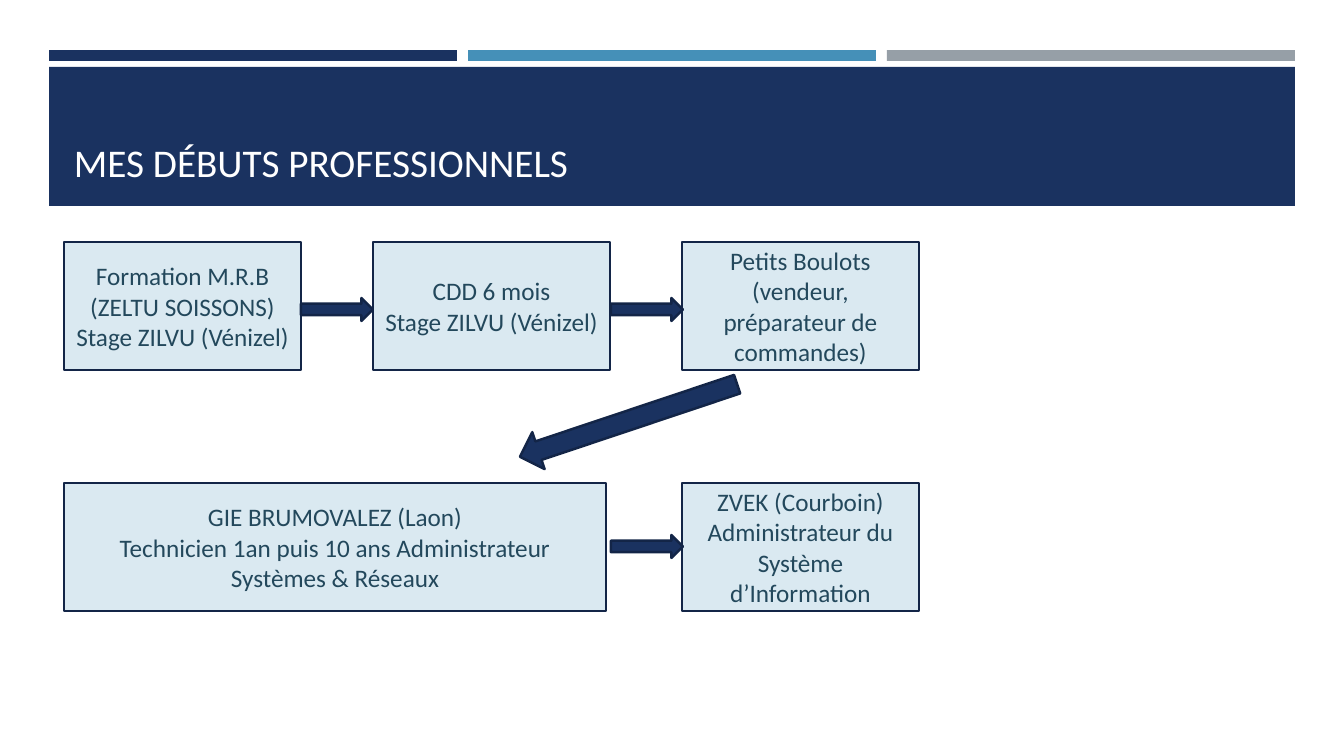
import pptx
import pptx.util
import pptx.dml.color
import pptx.enum.shapes
import pptx.enum.text
from dataclasses import dataclass


@dataclass(frozen=True)
class Theme:
    font: str = "Calibri"
    title_size: int = 28
    body_size: int = 18
    outline_width: float = 1.75
    navy: str = "1A3260"
    blue: str = "4590B8"
    grey: str = "969FA7"
    pale: str = "DAE9F1"
    outline: str = "132547"
    ink: str = "23485C"
    white: str = "FFFFFF"


THEME = Theme()
TITLE = "MES DÉBUTS PROFESSIONNELS"
STRIPES = [THEME.navy, THEME.blue, THEME.grey]
STEPS = [
    {"row": 0, "column": 0, "width": 237,
     "lines": ["Formation M.R.B (ZELTU SOISSONS)", "Stage ZILVU (Vénizel)"]},
    {"row": 0, "column": 1, "width": 237,
     "lines": ["CDD 6 mois", "Stage ZILVU (Vénizel)"]},
    {"row": 0, "column": 2, "width": 237,
     "lines": ["Petits Boulots (vendeur, préparateur de commandes)"]},
    {"row": 1, "column": 2, "width": 237,
     "lines": ["ZVEK (Courboin)", "Administrateur du Système d’Information"]},
    {"row": 1, "column": 0, "width": 542,
     "lines": ["GIE BRUMOVALEZ (Laon)\nTechnicien 1an puis 10 ans Administrateur Systèmes & Réseaux"]},
]
ARROWS = [
    (301, 298, 72, 23, 0),
    (611, 298, 72, 23, 0),
    (611, 535, 72, 23, 0),
    (514, 401, 229, 39, 161.5),
]

PX = 914400 / 100.8
PAGE_WIDTH, PAGE_HEIGHT = 1344, 756
BAND_LEFT, BAND_TOP, BAND_WIDTH, BAND_HEIGHT = 49, 67, 1246, 139
STRIPE_TOP, STRIPE_WIDTH, STRIPE_HEIGHT = 50, 408, 11
STRIPE_PITCH = (BAND_WIDTH - STRIPE_WIDTH) // (len(STRIPES) - 1)
STEP_LEFT, STEP_TOP, STEP_HEIGHT = 64, 242, 128
COLUMN_PITCH, ROW_PITCH = 309, 241

SHAPES = pptx.enum.shapes.MSO_SHAPE
ALIGN = pptx.enum.text.PP_ALIGN
ANCHOR = pptx.enum.text.MSO_ANCHOR


def emu(*lengths):
    return [pptx.util.Emu(round(length * PX)) for length in lengths]


def rgb(value):
    return pptx.dml.color.RGBColor.from_string(value)


def add_block(page, kind, place, fill, outline=None, rotation=0):
    block = page.shapes.add_shape(kind, *emu(*place))
    block.shadow.inherit = False
    block.rotation = rotation
    block.fill.solid()
    block.fill.fore_color.rgb = rgb(fill)
    if outline:
        block.line.color.rgb = rgb(outline)
        block.line.width = pptx.util.Pt(THEME.outline_width)
    else:
        block.line.fill.background()
    return block


def write(box, lines, *, size, color, align, anchor):
    frame = box.text_frame
    frame.word_wrap = True
    frame.vertical_anchor = anchor
    for index, line in enumerate(lines):
        para = frame.add_paragraph() if index else frame.paragraphs[0]
        para.text = line
        para.alignment = align
        for span in para.runs:
            span.font.name = THEME.font
            span.font.size = pptx.util.Pt(size)
            span.font.color.rgb = rgb(color)


def main():
    deck = pptx.Presentation()
    deck.slide_width, deck.slide_height = emu(PAGE_WIDTH, PAGE_HEIGHT)
    page = deck.slides.add_slide(deck.slide_layouts[6])

    for index, color in enumerate(STRIPES):
        left = BAND_LEFT + index * STRIPE_PITCH
        add_block(page, SHAPES.RECTANGLE, (left, STRIPE_TOP, STRIPE_WIDTH, STRIPE_HEIGHT), color)
    add_block(page, SHAPES.RECTANGLE, (BAND_LEFT, BAND_TOP, BAND_WIDTH, BAND_HEIGHT), THEME.navy)

    title = page.shapes.add_textbox(*emu(64, 81, 1216, 109))
    write(title, [TITLE], size=THEME.title_size, color=THEME.white,
          align=ALIGN.LEFT, anchor=ANCHOR.BOTTOM)

    for step in STEPS:
        left = STEP_LEFT + step["column"] * COLUMN_PITCH
        top = STEP_TOP + step["row"] * ROW_PITCH
        box = add_block(page, SHAPES.RECTANGLE, (left, top, step["width"], STEP_HEIGHT),
                        THEME.pale, THEME.outline)
        write(box, step["lines"], size=THEME.body_size, color=THEME.ink,
              align=ALIGN.CENTER, anchor=ANCHOR.MIDDLE)

    for *place, rotation in ARROWS:
        add_block(page, SHAPES.RIGHT_ARROW, place, THEME.navy, THEME.outline, rotation)

    deck.save("out.pptx")


if __name__ == "__main__":
    main()
